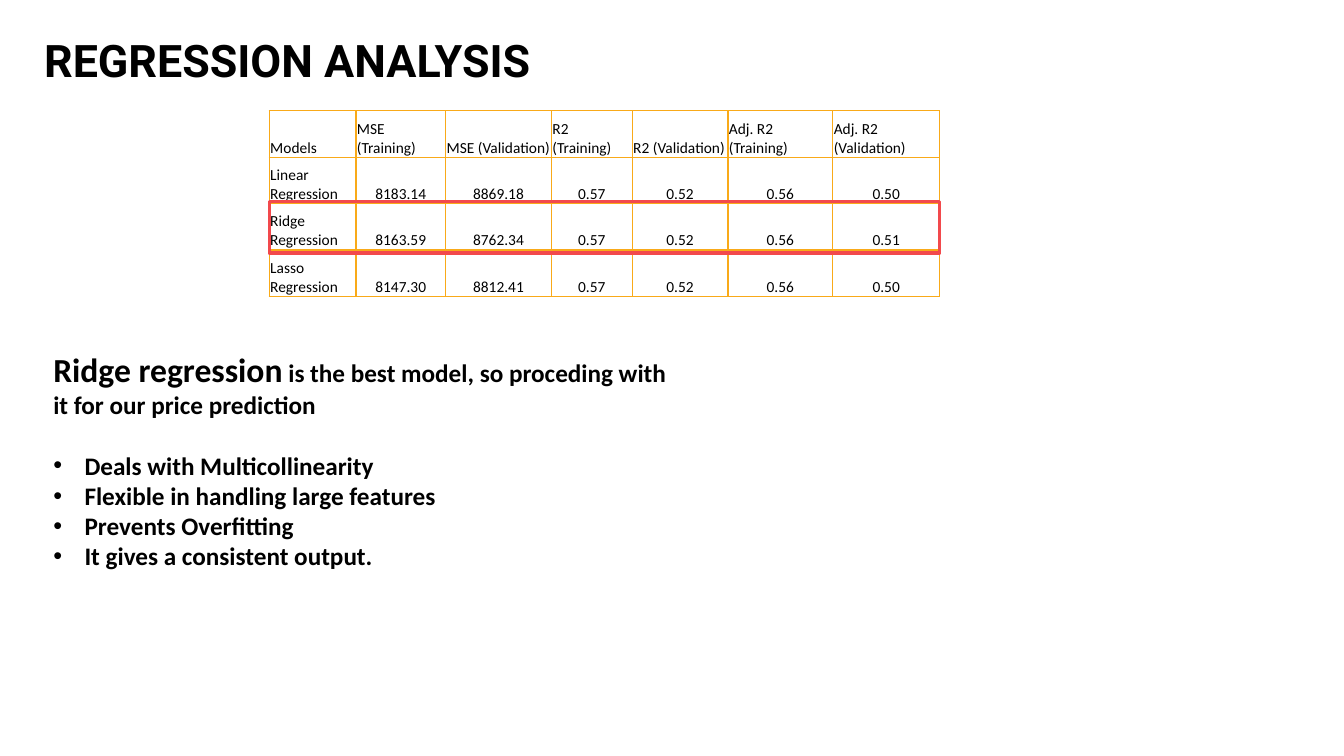
from lxml.etree import SubElement
from pptx import Presentation
from pptx.dml.color import RGBColor as RGB
from pptx.enum.shapes import MSO_SHAPE as Shape
from pptx.enum.text import MSO_ANCHOR as Anchor, PP_ALIGN as Align
from pptx.oxml.ns import qn
from pptx.util import Inches, Pt

COLORS = {"text": "000000", "grid": "F9AA19", "highlight": "F2494C"}
COLUMN_WIDTHS = [0.86, 0.89, 1.05, 0.8, 0.95, 1.04, 1.06]
SCORES = [
    ["Models", "MSE (Training)", "MSE (Validation)", "R2 (Training)",
     "R2 (Validation)", "Adj. R2 (Training)", "Adj. R2 (Validation)"],
    ["Linear Regression", "8183.14", "8869.18", "0.57", "0.52", "0.56", "0.50"],
    ["Ridge Regression", "8163.59", "8762.34", "0.57", "0.52", "0.56", "0.51"],
    ["Lasso Regression", "8147.30", "8812.41", "0.57", "0.52", "0.56", "0.50"],
]
BENEFITS = [
    "Deals with Multicollinearity",
    "Flexible in handling large features",
    "Prevents Overfitting",
    "It gives a consistent output.",
]


class SlideBuilder:
    """Holds the style and the current slide, and adds elements to it."""

    def __init__(self, slide, body_font="Calibri"):
        self.slide = slide
        self.body_font = body_font

    def style(self, font, size, bold=False, name=None):
        font.name = name or self.body_font
        font.size = Pt(size)
        font.bold = bold
        font.color.rgb = RGB.from_string(COLORS["text"])

    def text_frame(self, left, top, width, height, anchor=Anchor.TOP):
        box = self.slide.shapes.add_textbox(*map(Inches, (left, top, width, height)))
        frame = box.text_frame
        frame.word_wrap = True
        frame.vertical_anchor = anchor
        return frame

    def title(self, text, *place):
        heading = self.text_frame(*place, anchor=Anchor.BOTTOM).paragraphs[0]
        heading.text = text
        heading.line_spacing = 0.9
        self.style(heading.font, 32, True, "Roboto")

    def borders(self, cell):
        properties = cell._tc.get_or_add_tcPr()
        for position, side in enumerate(("a:lnL", "a:lnR", "a:lnT", "a:lnB")):
            line = properties.makeelement(qn(side), {"w": str(Pt(1))})
            fill = SubElement(line, qn("a:solidFill"))
            SubElement(fill, qn("a:srgbClr"), val=COLORS["grid"])
            properties.insert(position, line)

    def table(self, rows, widths, left, top, row_height):
        frame = self.slide.shapes.add_table(
            len(rows), len(widths), Inches(left), Inches(top),
            Inches(sum(widths)), Inches(row_height * len(rows)))
        grid = frame.table
        grid.first_row = grid.horz_banding = False
        for column, width in zip(grid.columns, widths):
            column.width = Inches(width)
        for r, row in enumerate(rows):
            grid.rows[r].height = Inches(row_height)
            for c, text in enumerate(row):
                self.cell(grid.cell(r, c), text, centered=r > 0 and c > 0)

    def cell(self, cell, text, centered):
        cell.text = text
        cell.fill.background()
        cell.vertical_anchor = Anchor.BOTTOM
        cell.margin_left = cell.margin_right = cell.margin_top = Inches(0.01)
        cell.margin_bottom = 0
        entry = cell.text_frame.paragraphs[0]
        entry.alignment = Align.CENTER if centered else Align.LEFT
        self.style(entry.font, 11)
        self.borders(cell)

    def outline(self, *place):
        frame = self.slide.shapes.add_shape(Shape.RECTANGLE, *map(Inches, place))
        frame.shadow.inherit = False
        frame.fill.background()
        frame.line.color.rgb = RGB.from_string(COLORS["highlight"])
        frame.line.width = Pt(2.25)

    def conclusion(self, lead, rest, closing, benefits, *place):
        frame = self.text_frame(*place)
        statement = frame.paragraphs[0]
        for text, size in ((lead, 24), (rest, 18)):
            run = statement.add_run()
            run.text = text
            self.style(run.font, size, True)
        ending = frame.add_paragraph()
        ending.text = closing
        self.style(ending.font, 18, True)
        for index, text in enumerate(benefits):
            self.bullet(frame.add_paragraph(), text, 0 if index else 22)

    def bullet(self, benefit, text, space_before):
        benefit.text = text
        benefit.space_before = Pt(space_before)
        properties = benefit._p.get_or_add_pPr()
        properties.set("marL", str(Inches(0.31)))
        properties.set("indent", str(-Inches(0.31)))
        SubElement(properties, qn("a:buFont"), typeface="Arial")
        SubElement(properties, qn("a:buChar"), char="•")
        self.style(benefit.font, 18, True)


def main():
    deck = Presentation()
    deck.slide_width, deck.slide_height = Inches(13.33), Inches(7.5)
    builder = SlideBuilder(deck.slides.add_slide(deck.slide_layouts[6]))
    left, top, row_height = 2.67, 1.1, 0.46
    builder.title("REGRESSION ANALYSIS", 0.34, 0.47, 9.47, 0.44)
    builder.table(SCORES, COLUMN_WIDTHS, left, top, row_height)
    builder.outline(left, 2, sum(COLUMN_WIDTHS), 0.51)
    builder.conclusion(
        "Ridge regression", " is the best model, so proceding with",
        "it for our price prediction", BENEFITS, 0.43, 3.41, 6.98, 2.32)
    deck.save("out.pptx")


if __name__ == "__main__":
    main()
